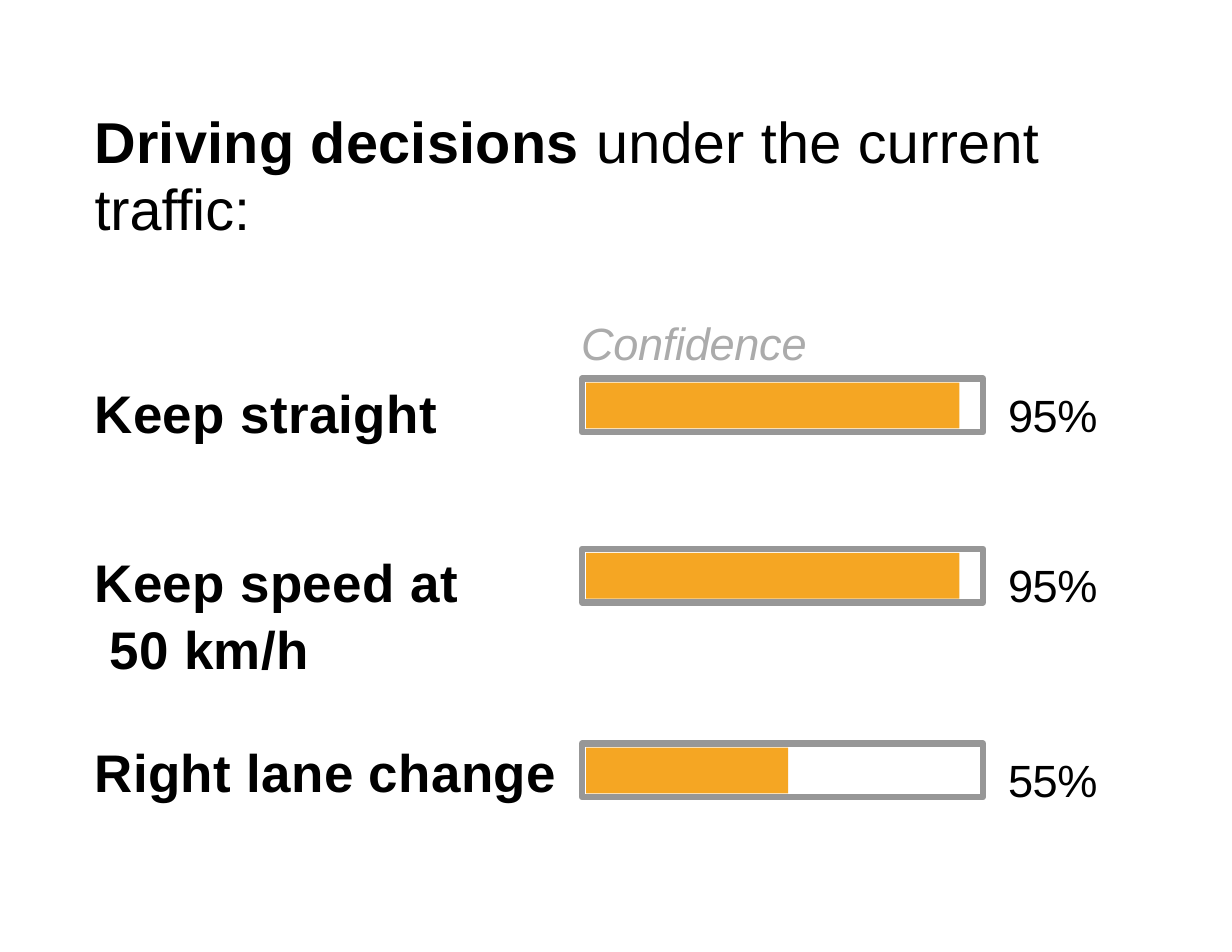
from pptx import Presentation
from pptx.dml.color import RGBColor
from pptx.enum.shapes import MSO_SHAPE as Shape
from pptx.util import Pt

COLORS = {"text": "000000", "caption": "ABABAB", "frame": "979797", "fill": "F5A623"}
LABEL_LEFT = 30.4
BAR_LEFT, BAR_WIDTH, BAR_HEIGHT = 187.1, 128.9, 17.3
FILL_INSET = 1.3
PERCENT_LEFT = 324

DECISIONS = [
    (121.7, 122.2, ["Keep straight"], 120, "95%"),
    (176.4, 176.8, ["Keep speed at", "50 km/h"], 120, "95%"),
    (239, 237.9, ["Right lane change"], 65, "55%"),
]


def color(name):
    return RGBColor.from_string(COLORS[name])


def add_text_frame(slide, left, top, width, height):
    frame = slide.shapes.add_textbox(Pt(left), Pt(top), Pt(width), Pt(height)).text_frame
    frame.word_wrap = True
    frame.margin_left = frame.margin_right = frame.margin_top = frame.margin_bottom = 0
    return frame


def add_run(paragraph, text, size, bold=False, italic=False, color_name="text", spacing=0.0):
    run = paragraph.add_run()
    run.text = text
    run.font.name = "Arial"
    run.font.size = Pt(size)
    run.font.bold = bold
    run.font.italic = italic
    run.font.color.rgb = color(color_name)
    run.font._element.set("spc", str(round(spacing * 100)))


def add_title(slide):
    paragraph = add_text_frame(slide, LABEL_LEFT, 34.7, 342, 44).paragraphs[0]
    paragraph.line_spacing = Pt(21.6)
    add_run(paragraph, "Driving decisions ", 18.5, bold=True, spacing=0.1)
    add_run(paragraph, "under the current ", 18.5, spacing=0.1)
    add_run(paragraph, "traffic:", 18.5)


def add_label(slide, top, lines):
    frame = add_text_frame(slide, LABEL_LEFT, top, 154, 20 * len(lines))
    for index, line in enumerate(lines):
        paragraph = frame.add_paragraph() if index else frame.paragraphs[0]
        if index:
            paragraph.space_before = Pt(1.1)
            paragraph._p.get_or_add_pPr().set("marL", str(Pt(4.8)))
        add_run(paragraph, line, 17, bold=True, spacing=0.1)


def add_small_text(slide, left, top, width, text, **style):
    paragraph = add_text_frame(slide, left, top, width, 17).paragraphs[0]
    add_run(paragraph, text, 14.5, spacing=-0.1, **style)


def add_rectangle(slide, left, top, width, height):
    shape = slide.shapes.add_shape(Shape.RECTANGLE, Pt(left), Pt(top), Pt(width), Pt(height))
    shape.shadow.inherit = False
    return shape


def add_bar(slide, top, fill_width):
    frame = add_rectangle(slide, BAR_LEFT, top, BAR_WIDTH, BAR_HEIGHT)
    frame.fill.background()
    frame.line.color.rgb = color("frame")
    frame.line.width = Pt(2)
    fill = add_rectangle(slide, BAR_LEFT + FILL_INSET, top + FILL_INSET,
                         fill_width, BAR_HEIGHT - 2 * FILL_INSET)
    fill.fill.solid()
    fill.fill.fore_color.rgb = color("fill")
    fill.line.fill.background()


def main():
    presentation = Presentation()
    presentation.slide_width = Pt(396)
    presentation.slide_height = Pt(306)
    slide = presentation.slides.add_slide(presentation.slide_layouts[6])
    add_title(slide)
    add_small_text(slide, 186.8, 101.3, 76, "Confidence", italic=True, color_name="caption")
    for bar_top, label_top, lines, fill_width, percent in DECISIONS:
        add_label(slide, label_top, lines)
        add_bar(slide, bar_top, fill_width)
        add_small_text(slide, PERCENT_LEFT, bar_top + 2.8, 32, percent)
    presentation.save("out.pptx")


if __name__ == "__main__":
    main()
